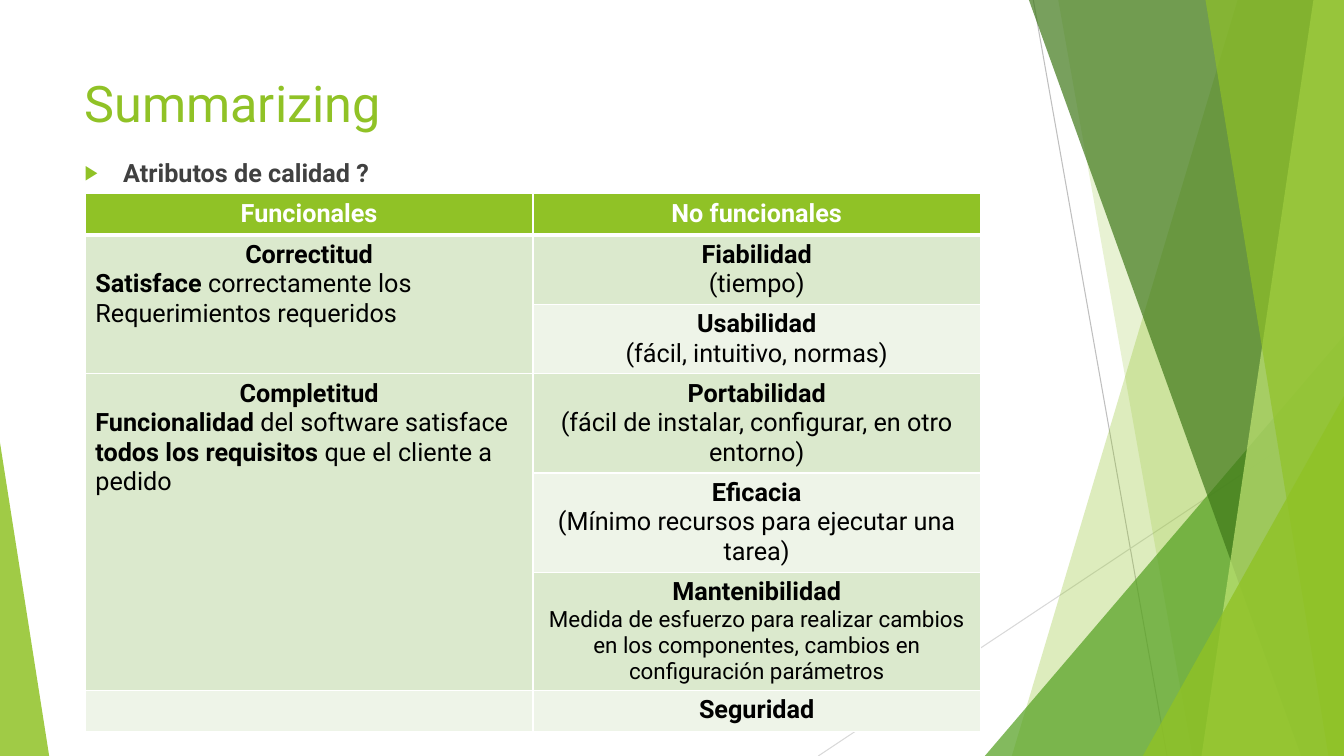
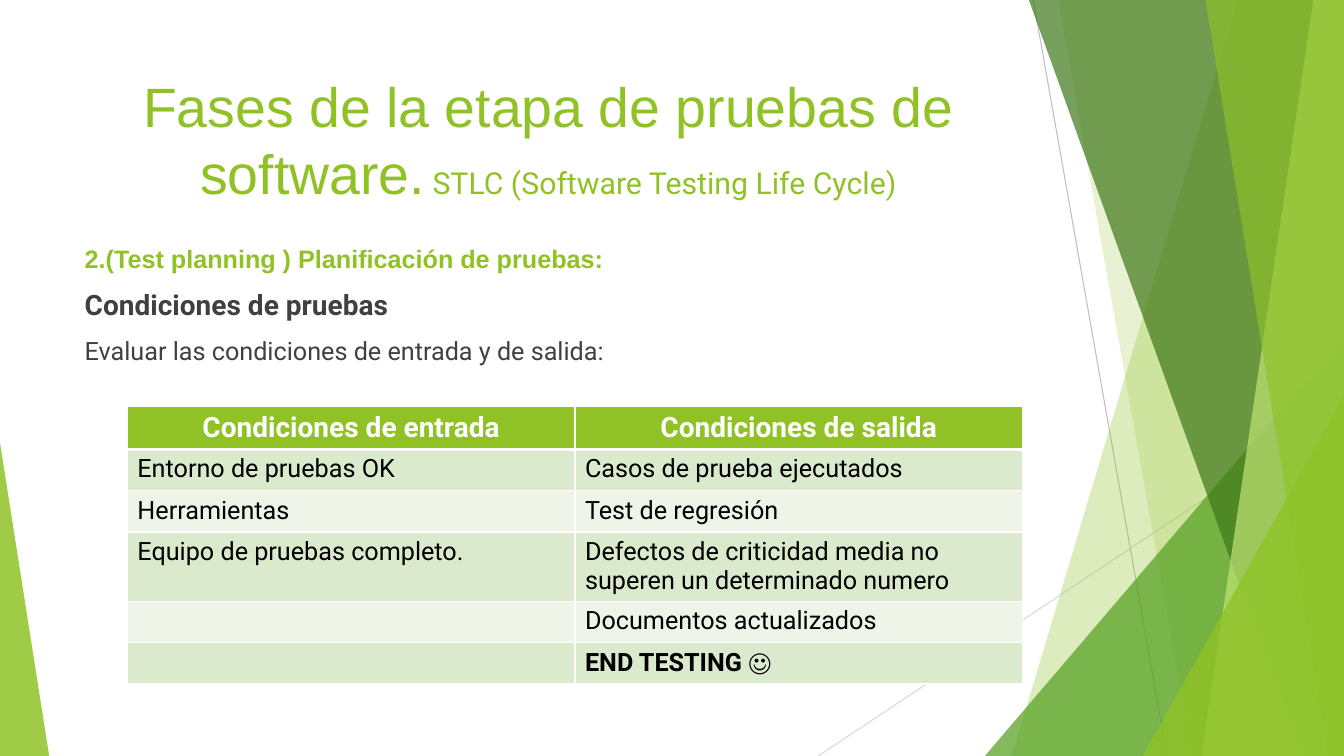
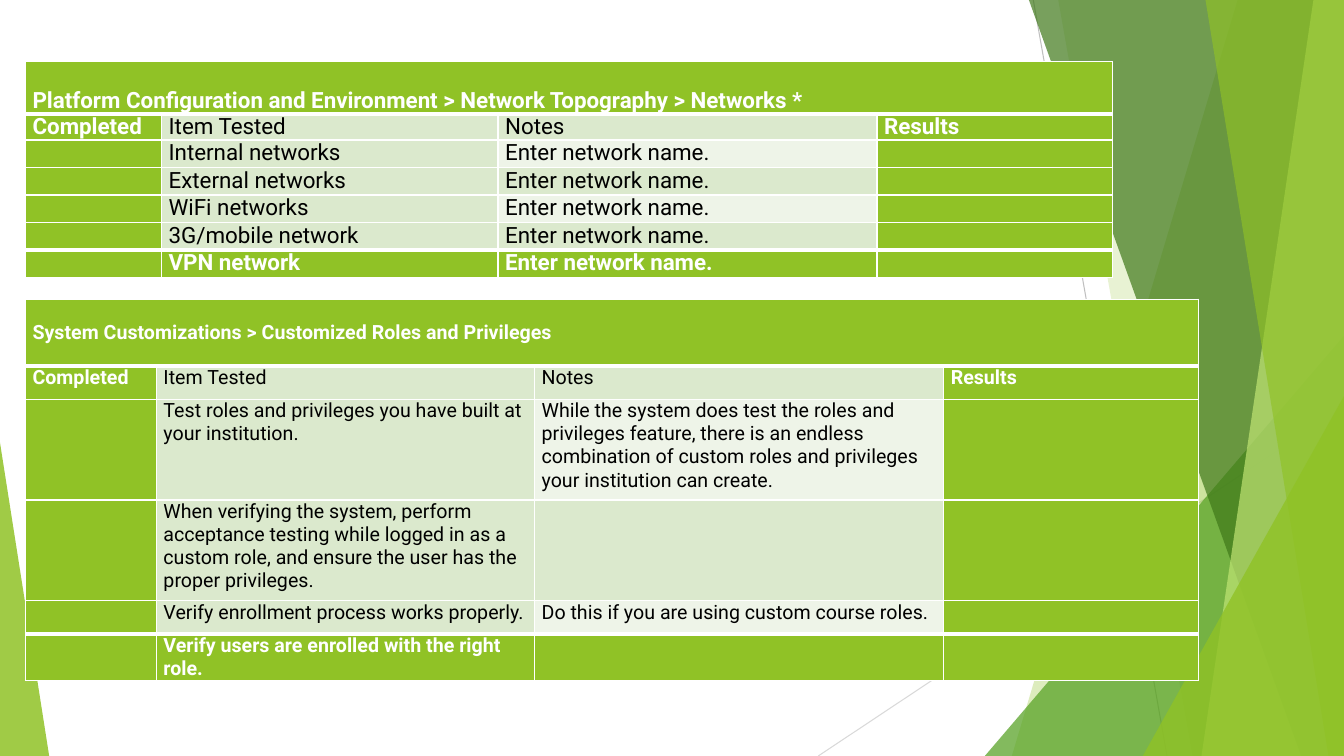
"""Build three slides about software testing on a shared green facet master."""
from dataclasses import dataclass

from lxml import etree
from pptx import Presentation
from pptx import util as u
from pptx.dml.color import RGBColor
from pptx.enum import shapes, text
from pptx.oxml.ns import qn

COLORS = {
    "lime": "90C226", "leaf": "54A021", "forest": "3F7819", "pale": "C0E474",
    "band": "DBE9CD", "light": "EEF4E8", "white": "FFFFFF", "black": "000000",
    "body": "404040", "line": "BFBFBF", "faint": "D9D9D9",
}
WIDTH, HEIGHT = 33.87, 19.05
LEFT, CENTER, JUSTIFY = text.PP_ALIGN.LEFT, text.PP_ALIGN.CENTER, text.PP_ALIGN.JUSTIFY
TOP, MIDDLE, BOTTOM = text.MSO_ANCHOR.TOP, text.MSO_ANCHOR.MIDDLE, text.MSO_ANCHOR.BOTTOM


@dataclass
class Span:
    """A run of text in one style, with an optional line break after it."""
    text: str
    bold: bool = False
    size: float = 18
    color: str = "black"
    font: str = "Roboto"
    newline: bool = False


@dataclass
class Para:
    """A paragraph made of spans."""
    spans: list
    align: object = LEFT
    before: float = 0


def rgb(name):
    """Return the named colour."""
    return RGBColor.from_string(COLORS[name])


def place(box, left, top, width, height):
    """Set the position and size of a box in centimetres."""
    box.left, box.top, box.width, box.height = map(u.Cm, (left, top, width, height))


def write(frame, paras):
    """Write paragraphs into a text frame, run by run."""
    for index, para in enumerate(paras):
        target = frame.add_paragraph() if index else frame.paragraphs[0]
        target.alignment = para.align
        target.space_before = u.Pt(para.before)
        for span in para.spans:
            run = target.add_run()
            run.text = span.text
            run.font.name = span.font
            run.font.size = u.Pt(span.size)
            run.font.bold = span.bold
            run.font.color.rgb = rgb(span.color)
            if span.newline:
                target.add_line_break()


def paint(shape, color, opacity):
    """Give a shape a see-through fill without outline or shadow."""
    shape.shadow.inherit = False
    shape.fill.solid()
    shape.fill.fore_color.rgb = rgb(color)
    shape.line.fill.background()
    node = shape.element.spPr.find(".//" + qn("a:srgbClr"))
    etree.SubElement(node, qn("a:alpha"), val=str(opacity * 1000))


def add_ray(group, start, end, color):
    """Draw a thin straight line."""
    ray = group.shapes.add_connector(
        shapes.MSO_CONNECTOR.STRAIGHT, *map(u.Cm, (*start, *end)))
    ray.line.color.rgb = rgb(color)
    ray.line.width = u.Pt(0.75)
    etree.SubElement(ray.element.spPr, qn("a:effectLst"))


def add_sliver(group, top_x, bottom_x, color, opacity):
    """Draw a full-height pane from a slanted edge to the right side."""
    builder = group.shapes.build_freeform(u.Cm(top_x), 0)
    corners = [(WIDTH, 0), (WIDTH, HEIGHT), (bottom_x, HEIGHT)]
    builder.add_line_segments([(u.Cm(x), u.Cm(y)) for x, y in corners], close=True)
    paint(builder.convert_to_shape(), color, opacity)


def add_wedge(group, left, top, width, peak, color, opacity):
    """Draw a triangle standing on the bottom edge."""
    wedge = group.shapes.add_shape(
        shapes.MSO_SHAPE.ISOSCELES_TRIANGLE,
        *map(u.Cm, (left, top, width, HEIGHT - top)))
    wedge.adjustments[0] = peak
    paint(wedge, color, opacity)


def decorate_master(deck, page):
    """Draw the facets as one group and move it to the back of the master."""
    group = page.shapes.add_group_shape()
    add_ray(group, (26.04, 0), (29.41, HEIGHT), "line")
    add_ray(group, (WIDTH, 10.24), (20.62, HEIGHT), "faint")
    add_sliver(group, 31.19, 25.5, "lime", 30)
    add_sliver(group, 26.67, 30.05, "lime", 20)
    add_wedge(group, 24.82, 8.46, 9.05, 1, "leaf", 72)
    add_sliver(group, 25.93, 32.79, "forest", 70)
    add_sliver(group, 33.1, 30.28, "pale", 70)
    add_sliver(group, 30.38, 33.48, "lime", 65)
    add_wedge(group, 28.8, 9.98, 5.07, 1, "lime", 80)
    add_wedge(group, 0, 11.15, 1.24, 0, "lime", 85)
    for number, node in enumerate(group.element.xpath(".//p:cNvPr"), 100):
        node.set("id", str(number))
    deck.slide_master.shapes.element.insert(2, group.element)


def fill_holder(box, top, height, paras):
    """Move a title or body placeholder and write its text from the top."""
    place(box, 1.88, top, 23.88, height)
    frame = box.text_frame
    frame.word_wrap = True
    frame.auto_size = text.MSO_AUTO_SIZE.NONE
    frame.vertical_anchor = TOP
    write(frame, paras)


def set_bullets(frame, shown):
    """Give every paragraph an arrow bullet, or none."""
    indent = u.Cm(0.97) if shown else 0
    for para in frame.paragraphs:
        props = para._p.get_or_add_pPr()
        props.set("marL", str(indent))
        props.set("indent", str(-indent))
        if shown:
            tint = etree.SubElement(props, qn("a:buClr"))
            etree.SubElement(tint, qn("a:srgbClr"), val=COLORS["lime"])
            etree.SubElement(props, qn("a:buSzPct"), val="80000")
            etree.SubElement(props, qn("a:buChar"), char="▶")
        else:
            etree.SubElement(props, qn("a:buNone"))


def set_borders(cell, top, bottom):
    """Draw white borders round a cell, with the given top and bottom widths."""
    widths = {"a:lnL": 1, "a:lnR": 1, "a:lnT": top, "a:lnB": bottom}
    props = cell._tc.get_or_add_tcPr()
    for index, (tag, width) in enumerate(widths.items()):
        border = etree.Element(qn(tag), w=str(u.Pt(width)))
        solid = etree.SubElement(border, qn("a:solidFill"))
        etree.SubElement(solid, qn("a:srgbClr"), val=COLORS["white"])
        props.insert(index, border)


def add_grid(page, left, top, columns, heights, rows, shade, thick=(0,), size=18):
    """Add a table; shade gives fills, thick lists rows with a heavy lower edge."""
    frame = page.shapes.add_table(
        len(heights), len(columns),
        *map(u.Cm, (left, top, sum(columns), sum(heights))))
    table = frame.table
    table.first_row = table.horz_banding = False
    for column, width in zip(table.columns, columns):
        column.width = u.Cm(width)
    for y, (row, height) in enumerate(zip(rows, heights)):
        table.rows[y].height = u.Cm(height)
        for x, paras in enumerate(row):
            cell = table.cell(y, x)
            cell.fill.solid()
            cell.fill.fore_color.rgb = rgb(shade(y, x))
            set_borders(cell, 3 if y - 1 in thick else 1, 3 if y in thick else 1)
            write(cell.text_frame, paras)
            if not paras:
                etree.SubElement(cell.text_frame.paragraphs[0]._p,
                                 qn("a:endParaRPr"), sz=str(size * 100))
    return table


def banded(y, x):
    """Return the fill of a cell below a green header."""
    return "lime" if y == 0 else ("light", "band")[y % 2]


def heading(words, size=18):
    """Return the content of a centred header cell."""
    return [Para([Span(words, True, size, "white")], CENTER)]


def quality(name, detail="", size=18):
    """Return a centred attribute name with its explanation below."""
    spans = [Span(name, True, newline=bool(detail))]
    if detail:
        spans.append(Span(detail, size=size))
    return [Para(spans, CENTER)]


def plain(words, bold=False):
    """Return the content of a simple body cell."""
    return [Para([Span(words, bold)])] if words else []


def add_checklist(page, top, columns, heights, title, items, size, anchor):
    """Add a test checklist with green edges and a full-width title row."""
    last = len(heights) - 1

    def shade(y, x):
        if y in (0, last) or x in (0, 3):
            return "lime"
        return "band" if x == 1 or y % 2 else "light"

    lines = [(title, "", "", ""), ("Completed", "Item Tested", "Notes", "Results")]
    lines += [("", item, note, "") for item, note in items]
    rows = []
    for y, line in enumerate(lines):
        row = []
        for x, words in enumerate(line):
            strong = shade(y, x) == "lime"
            span = Span(words, strong, size, "white" if strong else "black")
            row.append([Para([span])] if words else [])
        rows.append(row)
    table = add_grid(page, 0.64, top, columns, heights, rows, shade, (0, last - 1), size)
    for cell in table.iter_cells():
        cell.margin_left = cell.margin_right = u.Cm(0.18)
        cell.margin_top = cell.margin_bottom = 0
    table.cell(0, 0).vertical_anchor = anchor
    table.cell(0, 0).merge(table.cell(0, 3))


def build_summary(page):
    """Fill the slide on quality attributes."""
    fill_holder(page.shapes.title, 1.7, 3.66,
                [Para([Span("Summarizing", size=36, color="lime")])])
    body = page.placeholders[1]
    fill_holder(body, 3.84, 1.04,
                [Para([Span("Atributos de calidad ?", True, color="body")])])
    set_bullets(body.text_frame, True)
    correct = quality("Correctitud") + [Para([
        Span("Satisface", True), Span(" correctamente los Requerimientos requeridos")])]
    complete = quality("Completitud") + [Para([
        Span("Funcionalidad", True), Span(" del software satisface "),
        Span("todos los requisitos ", True), Span("que el cliente a pedido")])]
    rows = [
        (heading("Funcionales"), heading("No funcionales")),
        (correct, quality("Fiabilidad", "(tiempo)")),
        ([], quality("Usabilidad", "(fácil, intuitivo, normas)")),
        (complete, quality("Portabilidad",
                           "(fácil de instalar, configurar, en otro entorno)")),
        ([], quality("Eficacia", "(Mínimo recursos para ejecutar una tarea)")),
        ([], quality("Mantenibilidad",
                     "Medida de esfuerzo para realizar cambios en los componentes, "
                     "cambios en configuración parámetros", 16)),
        ([], quality("Seguridad")),
    ]
    heights = [1.04, 1.75, 1.75, 2.5, 2.5, 2.98, 1.02]
    table = add_grid(page, 2.15, 4.88, [11.28] * 2, heights, rows, banded)
    for first, end in ((1, 2), (3, 5)):
        table.cell(first, 0).merge(table.cell(end, 0))


def build_phases(page):
    """Fill the slide on entry and exit conditions."""
    fill_holder(page.shapes.title, 1.7, 3.66, [Para([
        Span("Fases de la etapa de pruebas de software.", False, 39.6, "lime", "Arial"),
        Span(" STLC (Software Testing Life Cycle)", False, 21.6, "lime")], CENTER)])
    body = page.placeholders[1]
    fill_holder(body, 6, 12.04, [
        Para([Span("2.(Test planning ) Planificación de pruebas:",
                   True, 18, "lime", "Arial")], JUSTIFY),
        Para([Span("Condiciones de pruebas", True, 20, "body")], JUSTIFY, 10),
        Para([Span("Evaluar las condiciones de entrada y de salida:",
                   color="body")], JUSTIFY, 10)])
    set_bullets(body.text_frame, False)
    conditions = [
        ("Entorno de pruebas OK", "Casos de prueba ejecutados"),
        ("Herramientas", "Test de regresión"),
        ("Equipo de pruebas completo.",
         "Defectos de criticidad media no superen un determinado numero"),
        ("", "Documentos actualizados"),
    ]
    rows = [(heading("Condiciones de entrada", 20), heading("Condiciones de salida", 20))]
    rows += [(plain(entry), plain(leave)) for entry, leave in conditions]
    rows.append(([], plain("END TESTING ☺", True)))
    heights = [1.04, 1.04, 1.04, 1.75, 1.04, 1.04]
    add_grid(page, 3.21, 10.24, [11.28] * 2, heights, rows, banded)


def build_checklists(page):
    """Fill the slide with the two test checklists."""
    add_checklist(
        page, 7.54, [3.3, 9.53, 10.31, 6.43], [1.68, 0.84, 2.54, 2.54, 0.84, 1.16],
        "System Customizations > Customized Roles and Privileges",
        [("Test roles and privileges you have built at your institution.",
          "While the system does test the roles and privileges feature, there is an "
          "endless combination of custom roles and privileges your institution "
          "can create."),
         ("When verifying the system, perform acceptance testing while logged in as "
          "a custom role, and ensure the user has the proper privileges.", ""),
         ("Verify enrollment process works properly.",
          "Do this if you are using custom course roles."),
         ("Verify users are enrolled with the right role.", "")],
        14, MIDDLE)
    networks = ["Internal networks", "External networks", "WiFi networks",
                "3G/mobile network", "VPN network"]
    add_checklist(
        page, 1.55, [3.43, 8.48, 9.55, 5.94], [1.32] + [0.66] * 6,
        "Platform Configuration and Environment > Network Topography > Networks *",
        [(network, "Enter network name.") for network in networks],
        16, BOTTOM)


def main():
    """Build and save the deck."""
    deck = Presentation()
    deck.slide_width, deck.slide_height = u.Cm(WIDTH), u.Cm(HEIGHT)
    content, blank = deck.slide_layouts[1], deck.slide_layouts[6]
    builders = [(content, build_summary), (content, build_phases),
                (blank, build_checklists)]
    for index, (layout, build) in enumerate(builders):
        page = deck.slides.add_slide(layout)
        if index == 0:
            decorate_master(deck, page)
        build(page)
    deck.save("out.pptx")


if __name__ == "__main__":
    main()
